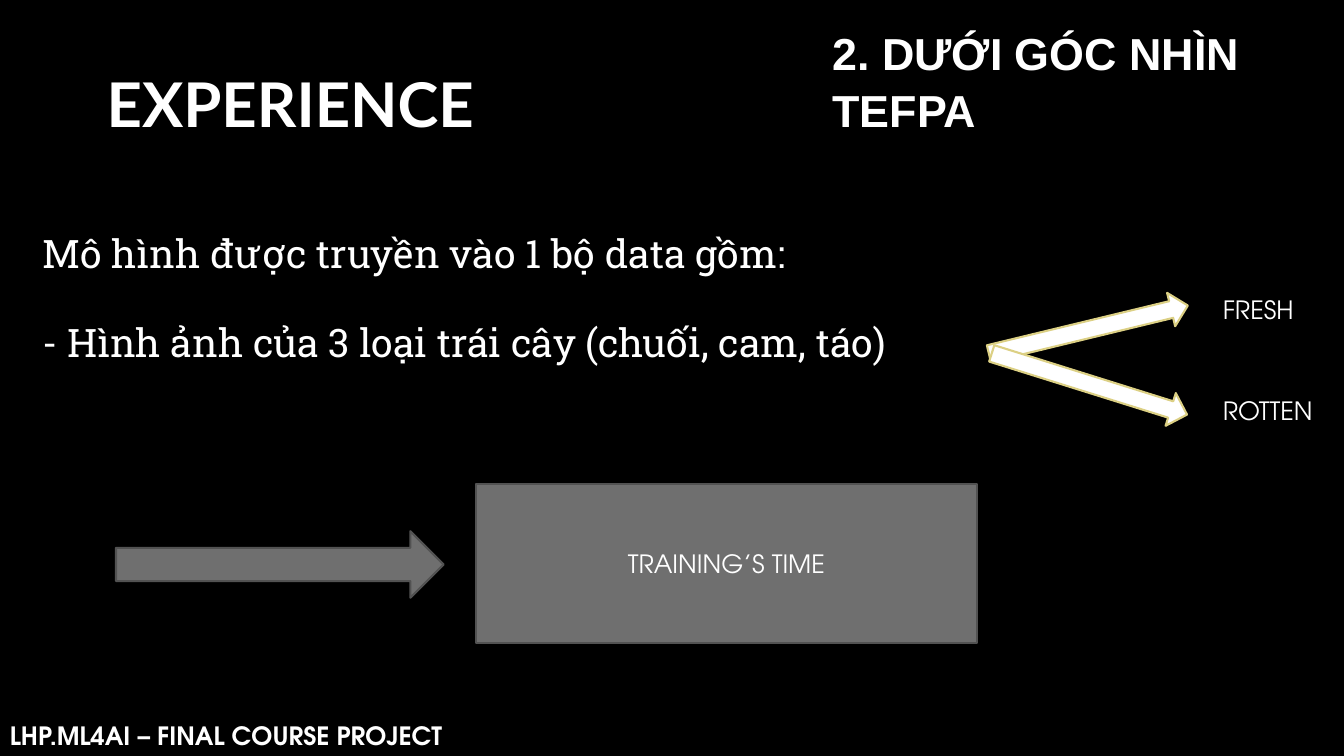
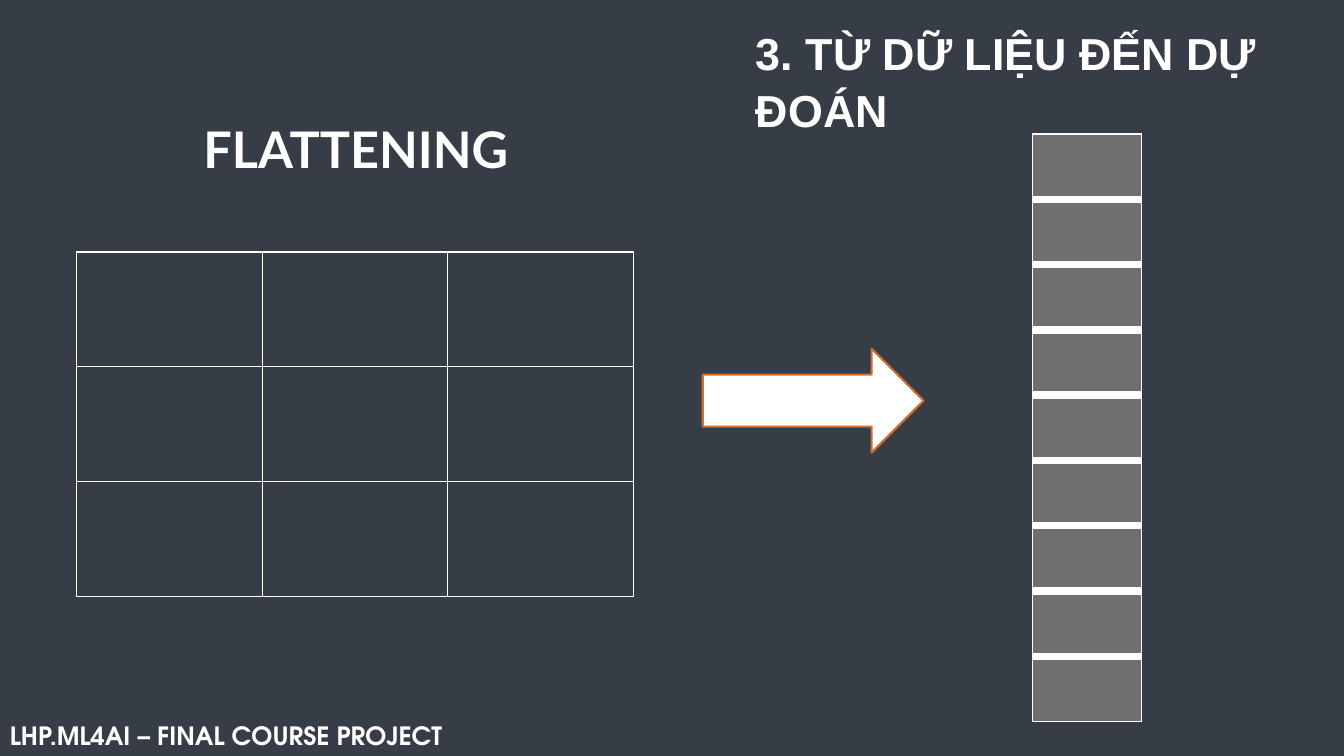
"""Build two slides on training data and flattening."""
from lxml import etree
from pptx import Presentation
from pptx import util as u
from pptx.dml.color import RGBColor
from pptx.enum import shapes, text
from pptx.oxml import ns

PX = 9144
INK = {
    "black": "000000",
    "slate": "363D46",
    "white": "FFFFFF",
    "grey": "6F6F6F",
    "edge": "525252",
    "gold": "DCD084",
    "rust": "CF7133",
}
HEAD, TITLE, BODY, LABEL = "Arial", "Lato", "Roboto Slab", "TeX Gyre Adventor"
ARROW = shapes.MSO_SHAPE.RIGHT_ARROW
RECT = shapes.MSO_SHAPE.RECTANGLE


def scale(box):
    return [n * PX for n in box]


def color(name):
    return RGBColor.from_string(INK[name])


def write(frame, words, font=LABEL, size=18, bold=False, align=None,
          anchor=text.MSO_ANCHOR.TOP, gap=0, lead=None):
    frame.word_wrap = True
    frame.vertical_anchor = anchor
    for i, line in enumerate(words.split("\n")):
        para = frame.paragraphs[0] if i == 0 else frame.add_paragraph()
        para.alignment = align
        para.line_spacing = lead
        if i:
            para.space_before = u.Pt(gap)
        run = para.add_run()
        run.text = line
        run.font.name = font
        run.font.size = u.Pt(size)
        run.font.bold = bold
        run.font.color.rgb = color("white")


def label(slide, box, words, **style):
    write(slide.shapes.add_textbox(*scale(box)).text_frame, words, **style)


def block(slide, kind, box, fill, line, turn=0):
    shape = slide.shapes.add_shape(kind, *scale(box))
    shape.shadow.inherit = False
    shape.fill.solid()
    shape.fill.fore_color.rgb = color(fill)
    shape.line.color.rgb = color(line)
    shape.line.width = u.Pt(1.5)
    shape.rotation = turn
    return shape


def border(cell, widths):
    props = cell._tc.get_or_add_tcPr()
    for i, (side, width) in enumerate(zip("LRTB", widths)):
        line = etree.Element(ns.qn(f"a:ln{side}"), w=str(u.Pt(width)))
        fill = etree.SubElement(line, ns.qn("a:solidFill"))
        etree.SubElement(fill, ns.qn("a:srgbClr"), val=INK["white"])
        props.insert(i, line)


def grid(slide, box, rows, cols, fill, rule=1):
    table = slide.shapes.add_table(rows, cols, *scale(box)).table
    table.first_row = table.horz_banding = False
    for r in range(rows):
        top = rule if r else 1
        base = rule if r < rows - 1 else 1
        for c in range(cols):
            cell = table.cell(r, c)
            cell.fill.solid()
            cell.fill.fore_color.rgb = color(fill)
            border(cell, (1, 1, top, base))


def start(deck, back, left, head):
    slide = deck.slides.add_slide(deck.slide_layouts[6])
    slide.background.fill.solid()
    slide.background.fill.fore_color.rgb = color(back)
    label(slide, (left, -25, 1333 - left, 208), head, font=HEAD, size=32,
          bold=True, anchor=text.MSO_ANCHOR.MIDDLE, lead=1.05)
    label(slide, (0, 710, 535, 40), "LHP.ML4AI – FINAL COURSE PROJECT",
          bold=True)
    return slide


def train(deck):
    slide = start(deck, "black", 816, "2. DƯỚI GÓC NHÌN TEFPA")
    label(slide, (96, 61, 687, 84), "EXPERIENCE", font=TITLE, size=44,
          bold=True)
    label(slide, (32, 223, 1101, 151),
          "Mô hình được truyền vào 1 bộ data gồm:\n"
          "- Hình ảnh của 3 loại trái cây (chuối, cam, táo)",
          font=BODY, size=28, gap=30)
    for words, left, top, turn, base in (("FRESH", 978, 310, 346.4, 287),
                                         ("ROTTEN", 979, 364, 17.4, 387)):
        block(slide, ARROW, (left, top, 203, 34), "white", "gold", turn)
        label(slide, (1203, base, 123, 40), words)
    block(slide, ARROW, (115, 527, 325, 66), "grey", "edge")
    panel = block(slide, RECT, (472, 480, 497, 158), "grey", "edge")
    write(panel.text_frame, "TRAINING’S TIME", align=text.PP_ALIGN.CENTER,
          anchor=text.MSO_ANCHOR.MIDDLE)


def flatten(deck):
    slide = start(deck, "slate", 740, "3. TỪ DỮ LIỆU ĐẾN DỰ ĐOÁN")
    label(slide, (192, 112, 687, 71), "FLATTENING", font=TITLE, size=36,
          bold=True)
    grid(slide, (76, 250, 552, 342), 3, 3, "slate")
    block(slide, ARROW, (697, 346, 219, 103), "white", "rust")
    grid(slide, (1024, 133, 108, 583), 9, 1, "grey", rule=6)


def main():
    deck = Presentation()
    deck.slide_width, deck.slide_height = scale((1333, 750))
    train(deck)
    flatten(deck)
    deck.save("out.pptx")


if __name__ == "__main__":
    main()
